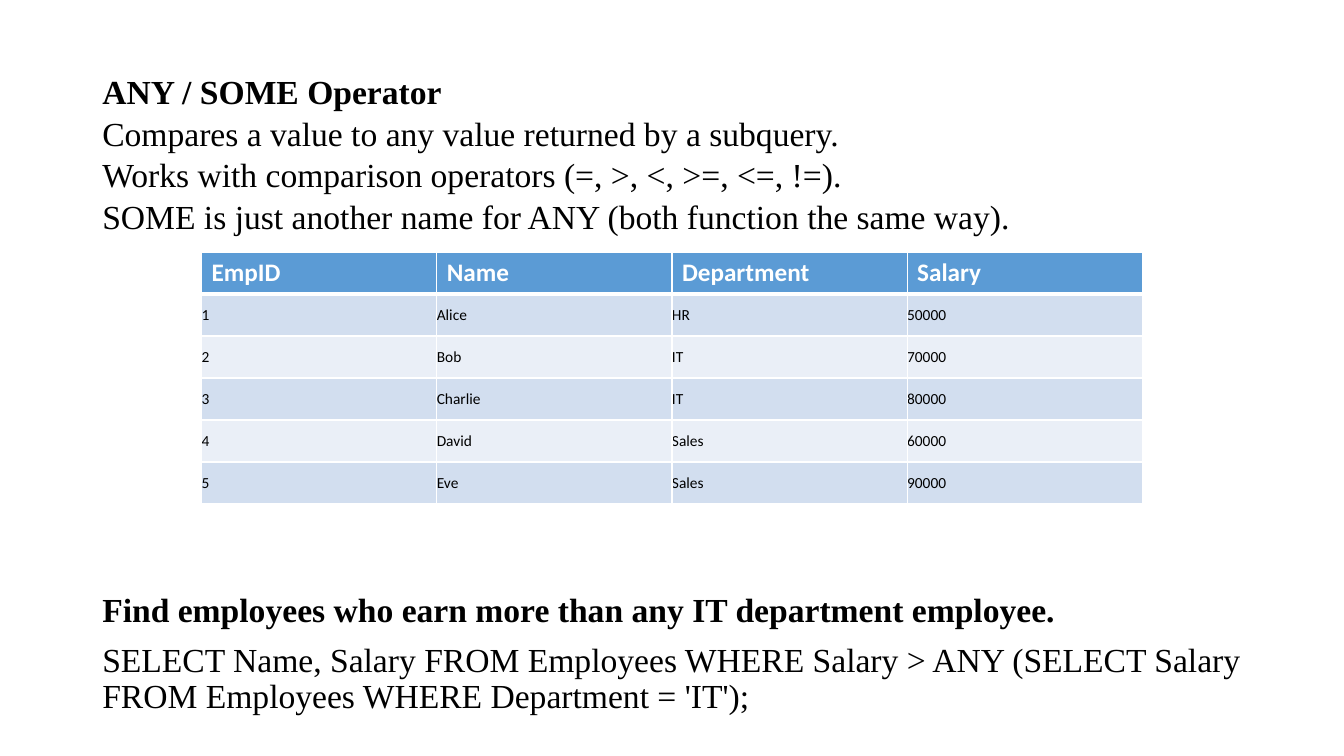
from pptx import Presentation
from pptx.dml.color import RGBColor
from pptx.enum import text
from pptx.oxml import parse_xml
from pptx.oxml.ns import nsdecls
from pptx.util import Pt

BLACK = RGBColor(0x00, 0x00, 0x00)
WHITE = RGBColor(0xFF, 0xFF, 0xFF)
HEADER_BLUE = RGBColor(0x5B, 0x9B, 0xD5)
BAND_DARK = RGBColor(0xD2, 0xDE, 0xEF)
BAND_LIGHT = RGBColor(0xEA, 0xEF, 0xF7)

OPERATOR_NOTES = [
    "ANY / SOME Operator",
    "Compares a value to any value returned by a subquery.",
    "Works with comparison operators (=, >, <, >=, <=, !=).",
    "SOME is just another name for ANY (both function the same way).",
]
QUERY_EXAMPLE = [
    "Find employees who earn more than any IT department employee.",
    "SELECT Name, Salary FROM Employees WHERE Salary > ANY "
    "(SELECT Salary FROM Employees WHERE Department = 'IT');",
]
EMPLOYEES = [
    ("EmpID", "Name", "Department", "Salary"),
    ("1", "Alice", "HR", "50000"),
    ("2", "Bob", "IT", "70000"),
    ("3", "Charlie", "IT", "80000"),
    ("4", "David", "Sales", "60000"),
    ("5", "Eve", "Sales", "90000"),
]


def style_font(font, name, size, color, bold):
    font.name = name
    font.size = Pt(size)
    font.color.rgb = color
    font.bold = bold


def add_text_block(slide, lines, left, top, width, height, space_before, line_spacing):
    """Place a bold heading line followed by plain lines."""
    text_frame = slide.shapes.add_textbox(
        Pt(left), Pt(top), Pt(width), Pt(height)).text_frame
    text_frame.word_wrap = True
    text_frame.text = "\n".join(lines)
    for index, paragraph in enumerate(text_frame.paragraphs):
        paragraph.line_spacing = line_spacing
        if index:
            paragraph.space_before = Pt(space_before)
        style_font(paragraph.runs[0].font, "Times New Roman", 24, BLACK, index == 0)


def set_borders(cell, bottom_width):
    properties = cell._tc.get_or_add_tcPr()
    widths = {"lnL": 1, "lnR": 1, "lnT": 1, "lnB": bottom_width}
    for position, (side, width) in enumerate(widths.items()):
        properties.insert(position, parse_xml(
            f'<a:{side} {nsdecls("a")} w="{Pt(width)}"><a:solidFill>'
            f'<a:srgbClr val="{WHITE}"/></a:solidFill></a:{side}>'))


def add_employee_table(slide, rows, left, top, width, height):
    table = slide.shapes.add_table(
        len(rows), len(rows[0]), Pt(left), Pt(top), Pt(width), Pt(height)).table
    for row_index, values in enumerate(rows):
        is_header = row_index == 0
        band = BAND_DARK if row_index % 2 else BAND_LIGHT
        for column_index, value in enumerate(values):
            cell = table.cell(row_index, column_index)
            cell.text = value
            cell.fill.solid()
            cell.fill.fore_color.rgb = HEADER_BLUE if is_header else band
            set_borders(cell, 3 if is_header else 1)
            if not is_header:
                cell.vertical_anchor = text.MSO_ANCHOR.MIDDLE
                cell.margin_left = cell.margin_right = 0
                cell.margin_top = cell.margin_bottom = 0
            style_font(cell.text_frame.paragraphs[0].runs[0].font, "Calibri",
                       18 if is_header else 11,
                       WHITE if is_header else BLACK, is_header)


def main():
    presentation = Presentation()
    presentation.slide_width = Pt(960)
    presentation.slide_height = Pt(540)
    slide = presentation.slides.add_slide(presentation.slide_layouts[6])

    # Operator description
    add_text_block(slide, OPERATOR_NOTES, 66, 47, 828, 126, 1, 1.0)
    # Sample data
    add_employee_table(slide, EMPLOYEES, 144, 180, 672, 180)
    # Example query
    add_text_block(slide, QUERY_EXAMPLE, 66, 420, 828, 98, 10, 0.9)

    presentation.save("out.pptx")


if __name__ == "__main__":
    main()
